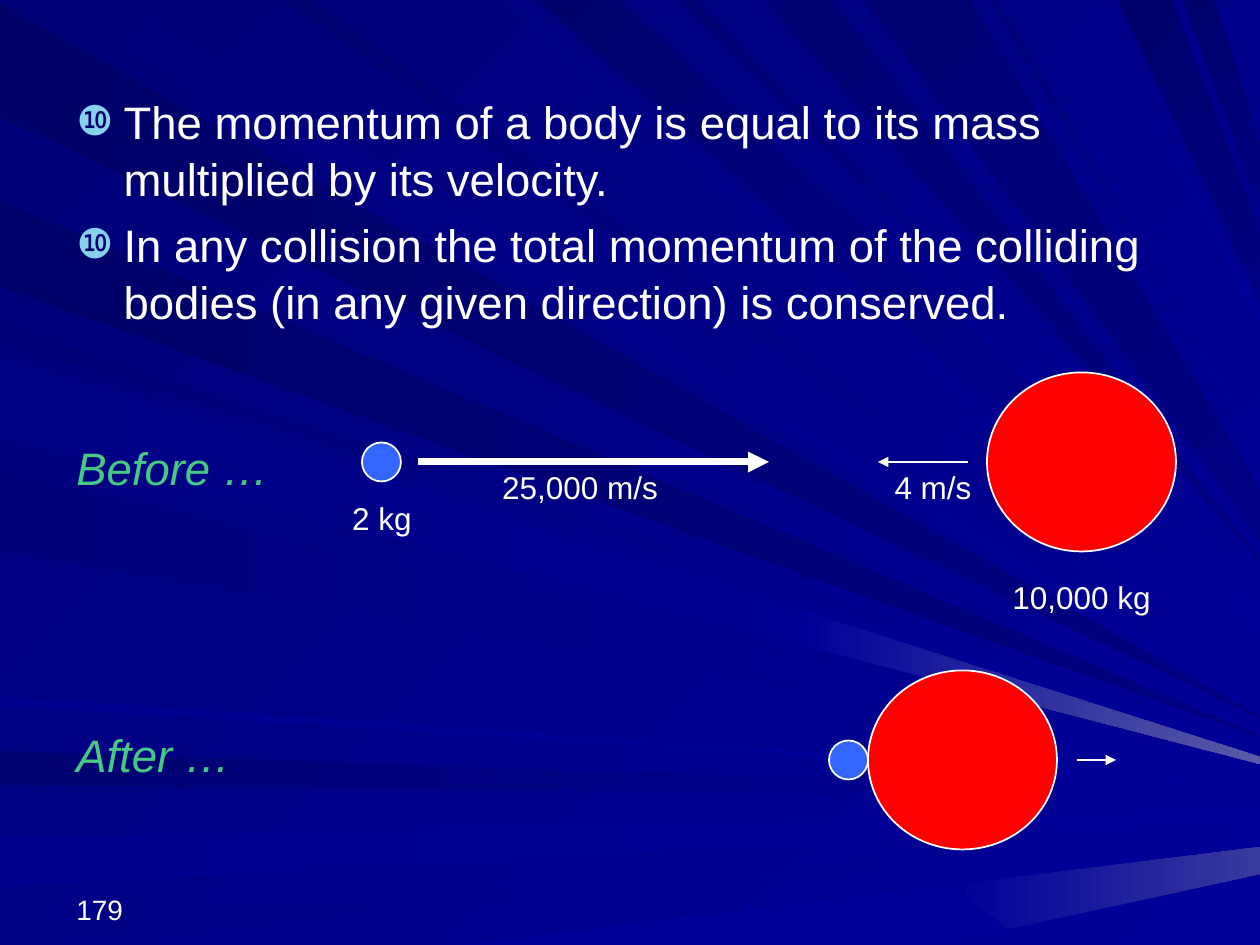
from lxml import etree
from pptx import Presentation
from pptx import util as u
from pptx.dml.color import RGBColor
from pptx.enum import shapes, text
from pptx.oxml import ns

PX = 914400 / 126
WIDTH, HEIGHT = 1260, 945
MARGIN = 64
WHITE, BLUE, RED, GREEN = "FFFFFF", "3366FF", "FF0000", "45C984"

deck = Presentation()
deck.slide_width, deck.slide_height = u.Inches(10), u.Inches(7.5)
slide = deck.slides.add_slide(deck.slide_layouts[1])
slide.shapes.title.element.getparent().remove(slide.shapes.title.element)


def rgb(value):
    return RGBColor.from_string(value)


def write(content, box=None, frame=None, size=18, color=WHITE, italic=False,
          align=text.PP_ALIGN.LEFT, anchor=text.MSO_ANCHOR.TOP):
    """Write lines of text into a frame, or into a new text box at box."""
    if frame is None:
        frame = slide.shapes.add_textbox(*[round(n * PX) for n in box]).text_frame
    frame.word_wrap = True
    frame.auto_size = text.MSO_AUTO_SIZE.NONE
    frame.vertical_anchor = anchor
    frame.text = content
    for paragraph in frame.paragraphs:
        paragraph.alignment = align
        font = paragraph.runs[0].font
        font.name, font.size, font.italic = "Arial", u.Pt(size), italic
        font.color.rgb = rgb(color)
    return frame


# Background rays: edge they start from, two places on that edge,
# two heights on the right edge, first and last shade of blue
rays = [
    ("left", 3, 117, 717, 718, "69", "80"),
    ("top", 33, 127, 709, 708, "7B", "99"),
    ("left", 751, 785, 795, 796, "71", "99"),
    ("left", 838, 887, 810, 820, "8C", "99"),
    ("left", 926, 948, 834, 834, "85", "99"),
    ("bottom", 459, 935, 847, 874, "99", "99"),
    ("left", 325, 340, 742, 742, "76", "99"),
    ("left", 200, 287, 736, 737, "6B", "80"),
    ("top", 501, 524, 656, 649, "83", "99"),
    ("top", 537, 620, 639, 604, "6D", "99"),
    ("top", 680, 696, 583, 583, "73", "99"),
    ("top", 764, 833, 562, 561, "73", "80"),
    ("top", 1118, 1172, 299, 231, "6B", "80"),
    ("top", 1183, 1215, 210, 144, "6D", "80"),
    ("left", 350, 431, 751, 759, "7E", "99"),
    ("left", 471, 551, 762, 764, "7B", "99"),
    ("left", 696, 706, 782, 785, "8E", "99"),
    ("top", 284, 311, 696, 689, "70", "99"),
    ("top", 864, 970, 539, 491, "73", "80"),
    ("top", 989, 998, 454, 446, "78", "99"),
    ("top", 1090, 1099, 325, 314, "8A", "99"),
    ("left", 357, 437, 757, 764, "85", "99"),
]
beams = []
for edge, near_a, near_b, far_a, far_b, first, last in rays:
    starts = [(0, near) if edge == "left" else (near, 0 if edge == "top" else HEIGHT)
              for near in (near_a, near_b)]
    beams.append(([starts[0], (WIDTH, far_a), (WIDTH, far_b), starts[1]],
                  "0000" + first, "0000" + last, 45 if edge == "top" else 0))
# Brighter ends of two rays
beams += [
    ([(953, 885), (WIDTH, 847), (WIDTH, 874), (1008, 929)], "000099", "39399E", 0),
    ([(803, 611), (WIDTH, 757), (WIDTH, 764), (798, 644)], "000099", "5A5AA6", 0),
]

fills = [(slide.background.fill, "000078", "000099", 45)]
for corners, first, last, angle in beams:
    outline = slide.shapes.build_freeform(*corners[0], scale=PX)
    outline.add_line_segments(corners[1:], close=True)
    ray = outline.convert_to_shape()
    ray.shadow.inherit = False
    ray.line.fill.background()
    fills.append((ray.fill, first, last, angle))
for fill, first, last, angle in fills:
    fill.gradient()
    fill.gradient_angle = -angle % 360
    for stop, color in zip(fill.gradient_stops, (first, last)):
        stop.color.rgb = rgb(color)

# Slide number
write("179", (MARGIN, 869, 294, 63), size=16, anchor=text.MSO_ANCHOR.BOTTOM)

# Statements, brought in front of the rays
statements = slide.placeholders[1]
slide.shapes._spTree.append(statements.element)
statements.left, statements.top, statements.width, statements.height = [
    round(n * PX) for n in (MARGIN, 86, 1134, 760)]
frame = write("The momentum of a body is equal to its mass multiplied by its velocity.\n"
              "In any collision the total momentum of the colliding bodies "
              "(in any given direction) is conserved.", frame=statements.text_frame, size=26)
indent = round(47 * PX)
for statement in frame.paragraphs:
    statement.line_spacing = 1.04
    statement.space_before = u.Pt(5.2)
    props = statement._p.get_or_add_pPr()
    props.set("marL", str(indent))
    props.set("indent", str(-indent))
    bullet_color = etree.SubElement(props, ns.qn("a:buClr"))
    etree.SubElement(bullet_color, ns.qn("a:srgbClr"), val="86D1EC")
    etree.SubElement(props, ns.qn("a:buSzPct"), val="90000")
    etree.SubElement(props, ns.qn("a:buFont"), typeface="Arial")
    etree.SubElement(props, ns.qn("a:buChar"), char="❿")

# Bodies before and after the collision, centred on one line each
BEFORE, AFTER = 462, 760
small, large = (39, 39, BLUE), (189, 179, RED)
for left, middle, (width, height, color) in [
        (362, BEFORE, small), (987, BEFORE, large), (868, AFTER, large), (829, AFTER, small)]:
    body = slide.shapes.add_shape(
        shapes.MSO_SHAPE.OVAL,
        *[round(n * PX) for n in (left, middle - height / 2, width, height)])
    body.shadow.inherit = False
    body.fill.solid()
    body.fill.fore_color.rgb = rgb(color)
    body.line.color.rgb = rgb(WHITE)
    body.line.width = u.Pt(1)

# Velocity arrows
for start, end, y, weight in [(418, 769, BEFORE, 4), (968, 878, BEFORE, 1),
                              (1077, 1116, AFTER, 1)]:
    velocity = slide.shapes.add_connector(
        shapes.MSO_CONNECTOR.STRAIGHT, *[round(n * PX) for n in (start, y, end, y)])
    velocity.line.color.rgb = rgb(WHITE)
    velocity.line.width = u.Pt(weight)
    etree.SubElement(velocity.line._get_or_add_ln(), ns.qn("a:tailEnd"), type="triangle")
    etree.SubElement(velocity.element.spPr, ns.qn("a:effectLst"))

# Masses and speeds
for label, left, top, width in [("2 kg", 332, 493, 100), ("25,000 m/s", 481, BEFORE, 198),
                                ("4 m/s", 878, BEFORE, 110), ("10,000 kg", 987, 572, 189)]:
    write(label, (left, top, width, 50), align=text.PP_ALIGN.CENTER)

# Stage names
for stage, top in [("Before …", 434), ("After …", 721)]:
    write(stage, (MARGIN, top, 238, 67), size=26, color=GREEN, italic=True)

deck.save("out.pptx")
